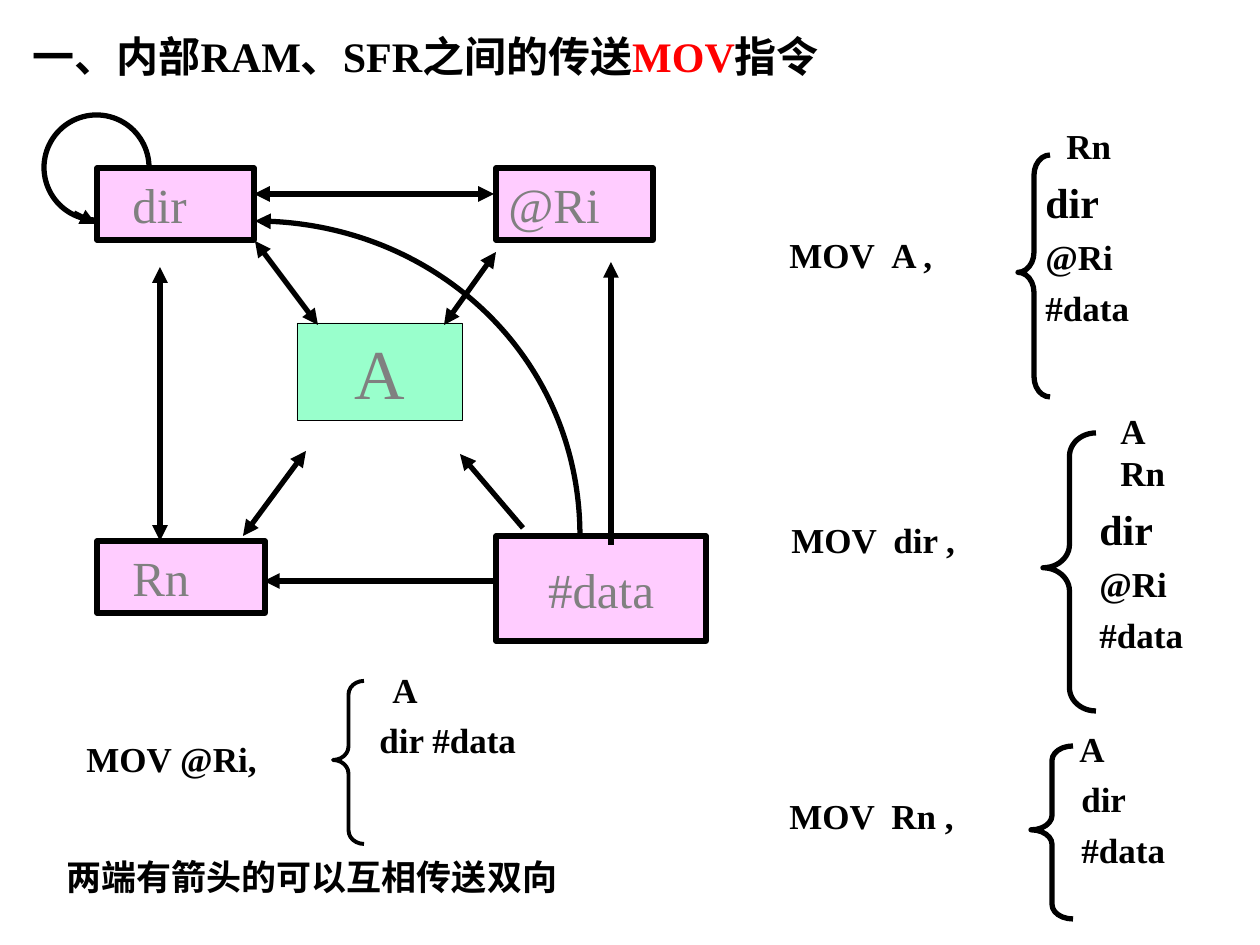
from dataclasses import dataclass

from lxml import etree
from pptx import Presentation
from pptx.dml.color import RGBColor
from pptx.enum.shapes import MSO_CONNECTOR, MSO_SHAPE
from pptx.enum.text import MSO_ANCHOR, MSO_AUTO_SIZE, PP_ALIGN
from pptx.oxml.ns import qn
from pptx.util import Pt

RECT, OVAL, BRACE = MSO_SHAPE.RECTANGLE, MSO_SHAPE.OVAL, MSO_SHAPE.LEFT_BRACE
LINE = MSO_CONNECTOR.STRAIGHT
TOP, MIDDLE = MSO_ANCHOR.TOP, MSO_ANCHOR.MIDDLE
LEFT, CENTER = PP_ALIGN.LEFT, PP_ALIGN.CENTER
FIXED = MSO_AUTO_SIZE.NONE
SCALE = 914400 / 126  # EMU in one px


@dataclass(frozen=True)
class Theme:
    face: str = "Times New Roman"
    ink: str = "000000"
    gray: str = "808080"
    red: str = "FF0000"
    white: str = "FFFFFF"
    pink: str = "FFCCFF"
    green: str = "99FFCC"
    body: int = 20
    head: int = 24
    node: int = 28
    core: int = 40
    thick: float = 3
    mid: float = 2.25
    thin: float = 0.25


THEME = Theme()


def px(n):
    return round(n * SCALE)


def rgb(code):
    return RGBColor.from_string(code)


def style(para, size, color=THEME.ink, bold=True):
    font = para.font
    font.name, font.size, font.bold = THEME.face, Pt(size), bold
    font.color.rgb = rgb(color)


def paint(shape, fill=None, width=THEME.thick):
    shape.shadow.inherit = False
    if fill:
        shape.fill.solid()
        shape.fill.fore_color.rgb = rgb(fill)
    else:
        shape.fill.background()
    shape.line.color.rgb = rgb(THEME.ink)
    shape.line.width = Pt(width)


def indent(para, left):
    props = para._p.get_or_add_pPr()
    props.set("marL", str(px(left)))
    props.set("indent", "0")


def arrow(shape, *ends):
    line = shape.line._get_or_add_ln()
    for end in ends:
        etree.SubElement(line, qn("a:" + end), type="triangle")


def frame(shape, anchor=TOP):
    text = shape.text_frame
    text.word_wrap = True
    text.auto_size = FIXED
    text.vertical_anchor = anchor
    return text


def title(slide, parts):
    shape = slide.shapes.title
    shape.left, shape.top, shape.width, shape.height = map(px, (20, 24, 1216, 63))
    para = frame(shape).paragraphs[0]
    para.alignment = LEFT
    style(para, THEME.head)
    for words, color in parts:
        run = para.add_run()
        run.text = words
        run.font.color.rgb = rgb(color)


def node(slide, box, words, left=None, anchor=TOP, fill=THEME.pink,
         size=THEME.node, width=THEME.thick):
    """Box with a name, centred unless a left indent is given."""
    shape = slide.shapes.add_shape(RECT, *map(px, box))
    paint(shape, fill, width)
    para = frame(shape, anchor).paragraphs[0]
    para.text = words
    para.alignment = CENTER if left is None else LEFT
    indent(para, left or 0)
    style(para, size, THEME.gray, False)


def link(slide, start, stop, both=True):
    shape = slide.shapes.add_connector(LINE, *map(px, start + stop))
    shape.line.color.rgb = rgb(THEME.ink)
    shape.line.width = Pt(THEME.thick)
    arrow(shape, *(("headEnd", "tailEnd") if both else ("tailEnd",)))
    etree.SubElement(shape._element.spPr, qn("a:effectLst"))


def curve(slide, start, *points):
    """Bezier line with an arrowhead at its start."""
    build = slide.shapes.build_freeform(*map(px, start))
    build.add_line_segments([tuple(map(px, p)) for p in points], close=False)
    shape = build.convert_to_shape()
    paint(shape)
    arrow(shape, "headEnd")
    track = next(shape._element.iter(qn("a:path")))
    bend = etree.SubElement(track, qn("a:cubicBezTo"))
    for step in track.findall(qn("a:lnTo")):
        bend.append(step[0])
        track.remove(step)


def brace(slide, box, width=THEME.thick):
    shape = slide.shapes.add_shape(BRACE, *map(px, box))
    paint(shape, width=width)
    shape.adjustments[0] = box[3] / 12 / box[2]
    shape.adjustments[1] = 0.485


def label(slide, left, top, words, wide=305, stop=102):
    shape = slide.shapes.add_textbox(*map(px, (left, top, wide, 55)))
    para = frame(shape).paragraphs[0]
    para.text = words
    if "\t" in words:
        tabs = etree.SubElement(para._p.get_or_add_pPr(), qn("a:tabLst"))
        etree.SubElement(tabs, qn("a:tab"), pos=str(px(stop)), algn="l")
    style(para, THEME.body)


def choices(slide, box, rows):
    """Operand list; a row is text, indent, size and optional gap."""
    text = frame(slide.shapes.add_textbox(*map(px, box)))
    for i, (words, left, size, *gap) in enumerate(rows):
        para = text.add_paragraph() if i else text.paragraphs[0]
        para.text = words
        indent(para, left)
        if i:
            para.space_before = Pt(gap[0] if gap else size / 4)
        style(para, size)


def main():
    deck = Presentation()
    deck.slide_width, deck.slide_height = px(1260), px(945)
    slide = deck.slides.add_slide(deck.slide_layouts[5])
    title(slide, [("一、内部RAM、SFR之间的传送", THEME.ink),
                  ("MOV", THEME.red), ("指令", THEME.ink)])

    # Loop behind dir, then the boxes
    loop = slide.shapes.add_shape(OVAL, *map(px, (44, 115, 105, 105)))
    paint(loop, THEME.white)
    node(slide, (97, 168, 157, 72), "dir", 23)
    node(slide, (496, 168, 157, 72), "@Ri", 0)
    node(slide, (97, 541, 168, 72), "Rn", 23)
    node(slide, (496, 536, 210, 105), "#data", anchor=MIDDLE)
    node(slide, (297, 323, 165, 97), "A", fill=THEME.green,
         size=THEME.core, width=THEME.thin)

    # Two-way transfers
    for start, stop in [((160, 267), (160, 541)), ((254, 194), (494, 194)),
                        ((255, 241), (318, 325)), ((243, 536), (306, 451)),
                        ((496, 252), (444, 325))]:
        link(slide, start, stop)

    # One-way transfers
    for start, stop in [((523, 528), (460, 454)), ((494, 581), (264, 581)),
                        ((611, 545), (611, 262)), ((74, 213), (96, 224))]:
        link(slide, start, stop, both=False)
    curve(slide, (255, 221), (435, 221), (580, 362), (580, 536))

    # Instructions
    label(slide, 777, 227, "MOV\tA ,")
    label(slide, 779, 512, "MOV\tdir ,")
    label(slide, 777, 788, "MOV\tRn ,")
    label(slide, 74, 731, "MOV @Ri,")
    label(slide, 54, 849, "两端有箭头的可以互相传送双向", 997)

    # Braces
    brace(slide, (1018, 155, 32, 242))
    brace(slide, (1043, 433, 53, 278))
    brace(slide, (1031, 746, 42, 173))
    brace(slide, (333, 681, 31, 163), THEME.mid)

    # Operands
    body = THEME.body
    common = [("dir", 26, THEME.head), ("@Ri", 26, body), ("#data", 26, body)]
    choices(slide, (1007, 118, 199, 273), [("Rn", 47, body)] + common)
    choices(slide, (1061, 403, 199, 266),
            [("A", 47, body), ("Rn", 47, body, 0)] + common)
    choices(slide, (1061, 721, 199, 200),
            [("A", 6, body), ("dir", 8, body), ("#data", 8, body)])
    choices(slide, (333, 662, 220, 198),
            [("A", 47, body), ("dir #data", 34, body)])

    deck.save("out.pptx")


if __name__ == "__main__":
    main()
